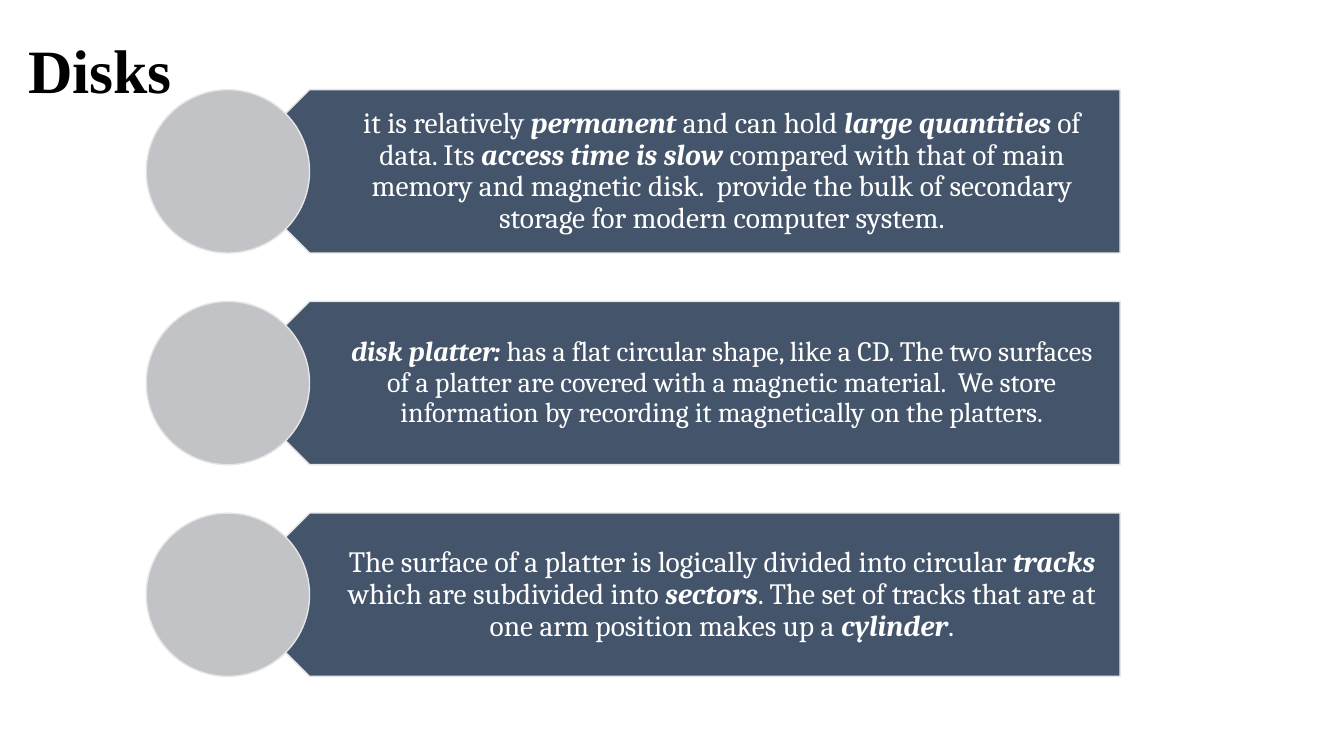
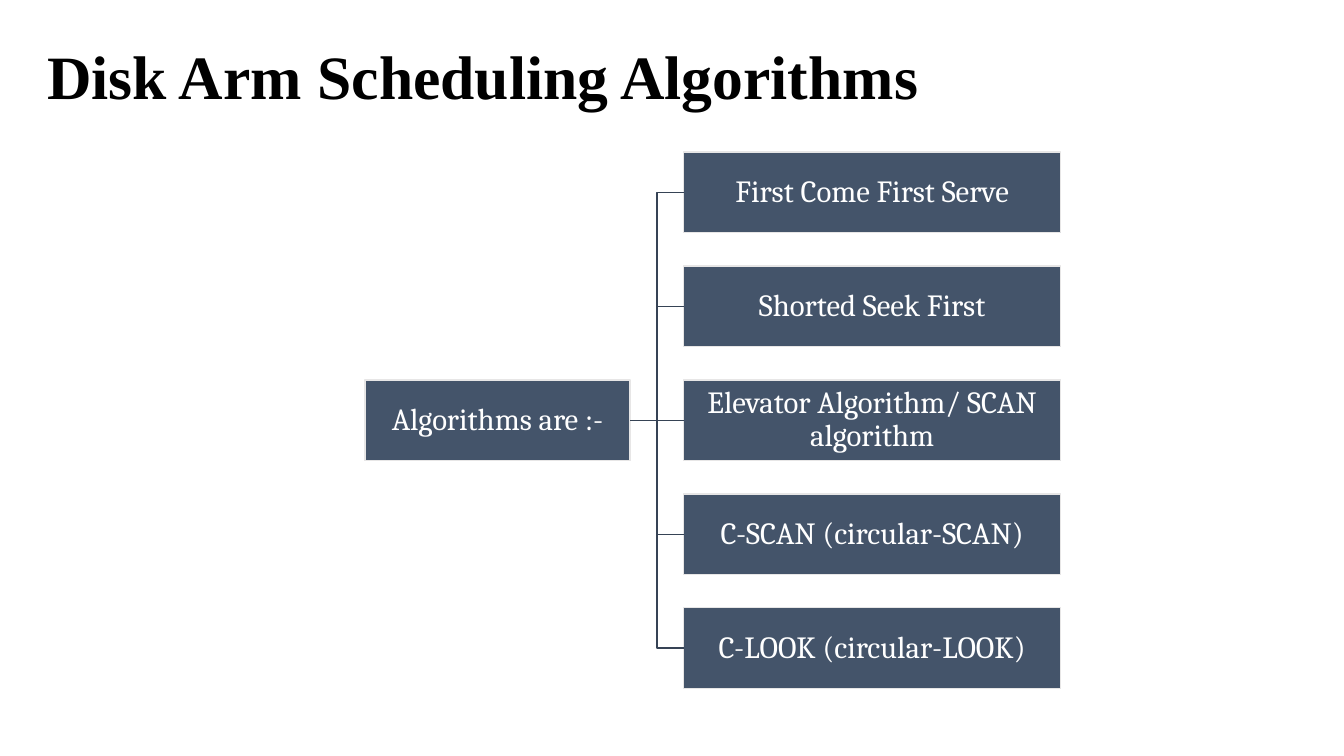
from dataclasses import dataclass

from lxml import etree
from pptx import Presentation
from pptx.dml.color import RGBColor
from pptx.enum.shapes import MSO_CONNECTOR as Connector, MSO_SHAPE as Shape
from pptx.enum.text import MSO_ANCHOR as Anchor, PP_ALIGN as Align
from pptx.oxml.ns import qn
from pptx.util import Inches, Pt


@dataclass(frozen=True)
class Theme:
    navy: RGBColor = RGBColor.from_string("44546A")
    outline: RGBColor = RGBColor.from_string("E7E6E6")
    disc: RGBColor = RGBColor.from_string("C1C3C7")
    branch: RGBColor = RGBColor.from_string("364355")
    white: RGBColor = RGBColor.from_string("FFFFFF")
    black: RGBColor = RGBColor.from_string("000000")
    title_font: str = "Times New Roman"
    body_font: str = "Cambria"
    title_size: int = 44
    box_size: int = 22
    line_width: int = 1


THEME = Theme()

PLAIN, STRONG = False, True

DISKS_TITLE = "Disks"
DISK_FACTS = [
    (21, [
        ("it is relatively ", PLAIN),
        ("permanent", STRONG),
        (" and can hold ", PLAIN),
        ("large quantities", STRONG),
        (" of data. Its ", PLAIN),
        ("access time is slow ", STRONG),
        ("compared with that of main memory and magnetic disk.  provide the bulk "
         "of secondary storage for modern computer system.", PLAIN),
    ]),
    (20, [
        ("disk platter: ", STRONG),
        ("has a flat circular shape, like a CD. The two surfaces of a platter are "
         "covered with a magnetic material.  We store information by recording it "
         "magnetically on the platters.", PLAIN),
    ]),
    (21, [
        ("The surface of a platter is logically divided into circular ", PLAIN),
        ("tracks", STRONG),
        (" which are subdivided into ", PLAIN),
        ("sectors", STRONG),
        (". The set of tracks that are at one arm position makes up a ", PLAIN),
        ("cylinder", STRONG),
        (".", PLAIN),
    ]),
]

ALGORITHMS_TITLE = "Disk Arm Scheduling Algorithms"
ALGORITHMS_ROOT = "Algorithms are :-"
ALGORITHMS = [
    "First Come First Serve",
    "Shorted Seek First",
    "Elevator Algorithm/ SCAN algorithm",
    "C-SCAN (circular-SCAN)",
    "C-LOOK (circular-LOOK)",
]


def write_text(shape, runs, size, insets, color=THEME.white,
               font_name=THEME.body_font, align=Align.CENTER):
    frame = shape.text_frame
    frame.word_wrap = True
    frame.vertical_anchor = Anchor.MIDDLE
    (frame.margin_left, frame.margin_top,
     frame.margin_right, frame.margin_bottom) = map(Inches, insets)
    paragraph = frame.paragraphs[0]
    paragraph.alignment = align
    paragraph.line_spacing = 0.9
    for text, bold, italic in runs:
        run = paragraph.add_run()
        run.text = text
        run.font.name = font_name
        run.font.size = Pt(size)
        run.font.color.rgb = color
        run.font.bold = bold
        run.font.italic = italic


def add_title(slide, text, left, top):
    title = slide.shapes.add_textbox(Inches(left), Inches(top), Inches(11.5), Inches(1.45))
    write_text(title, [(text, True, False)], THEME.title_size, (0.1, 0.05, 0.1, 0.05),
               THEME.black, THEME.title_font, Align.LEFT)


def add_filled_shape(slide, kind, left, top, width, height, fill):
    shape = slide.shapes.add_shape(kind, Inches(left), Inches(top), Inches(width), Inches(height))
    shape.shadow.inherit = False
    shape.fill.solid()
    shape.fill.fore_color.rgb = fill
    shape.line.color.rgb = THEME.outline
    shape.line.width = Pt(THEME.line_width)
    return shape


def add_box(slide, text, left, top, width, height):
    box = add_filled_shape(slide, Shape.RECTANGLE, left, top, width, height, THEME.navy)
    write_text(box, [(text, False, False)], THEME.box_size, (0.02,) * 4)
    return box


def add_branch(slide, start, end):
    kind = Connector.STRAIGHT if start.top == end.top else Connector.ELBOW
    branch = slide.shapes.add_connector(kind, 0, 0, 0, 0)
    branch.begin_connect(start, 3)
    branch.end_connect(end, 1)
    branch.line.color.rgb = THEME.branch
    branch.line.width = Pt(THEME.line_width)
    etree.SubElement(branch.element.spPr, qn("a:effectLst"))


def build_disks(slide):
    add_title(slide, DISKS_TITLE, 0.18, 0)
    first_top, pitch, height = 0.89, 2.1, 1.62
    disc_left, band_left, text_left, right = 1.45, 2.26, 2.66, 11.11
    for row, (size, runs) in enumerate(DISK_FACTS):
        top = first_top + row * pitch
        band = add_filled_shape(slide, Shape.PENTAGON, band_left, top,
                                right - band_left, height, THEME.navy)
        band.rotation = 180
        label = slide.shapes.add_textbox(Inches(text_left), Inches(top),
                                         Inches(right - text_left), Inches(height))
        write_text(label, [(text, strong, strong) for text, strong in runs],
                   size, (0.71, 0.09, 0.16, 0.09))
        add_filled_shape(slide, Shape.OVAL, disc_left, top, height, height, THEME.disc)


def build_algorithms(slide):
    add_title(slide, ALGORITHMS_TITLE, 0.37, 0.06)
    first_top, pitch, height = 1.51, 1.13, 0.8
    middle_top = first_top + pitch * (len(ALGORITHMS) - 1) / 2
    root = add_box(slide, ALGORITHMS_ROOT, 3.62, middle_top, 2.63, height)
    for row, name in enumerate(ALGORITHMS):
        box = add_box(slide, name, 6.78, first_top + row * pitch, 3.74, height)
        add_branch(slide, root, box)


def main():
    presentation = Presentation()
    presentation.slide_width = Inches(13.33)
    presentation.slide_height = Inches(7.5)
    blank = presentation.slide_layouts[6]
    for build in (build_disks, build_algorithms):
        build(presentation.slides.add_slide(blank))
    presentation.save("out.pptx")


if __name__ == "__main__":
    main()
